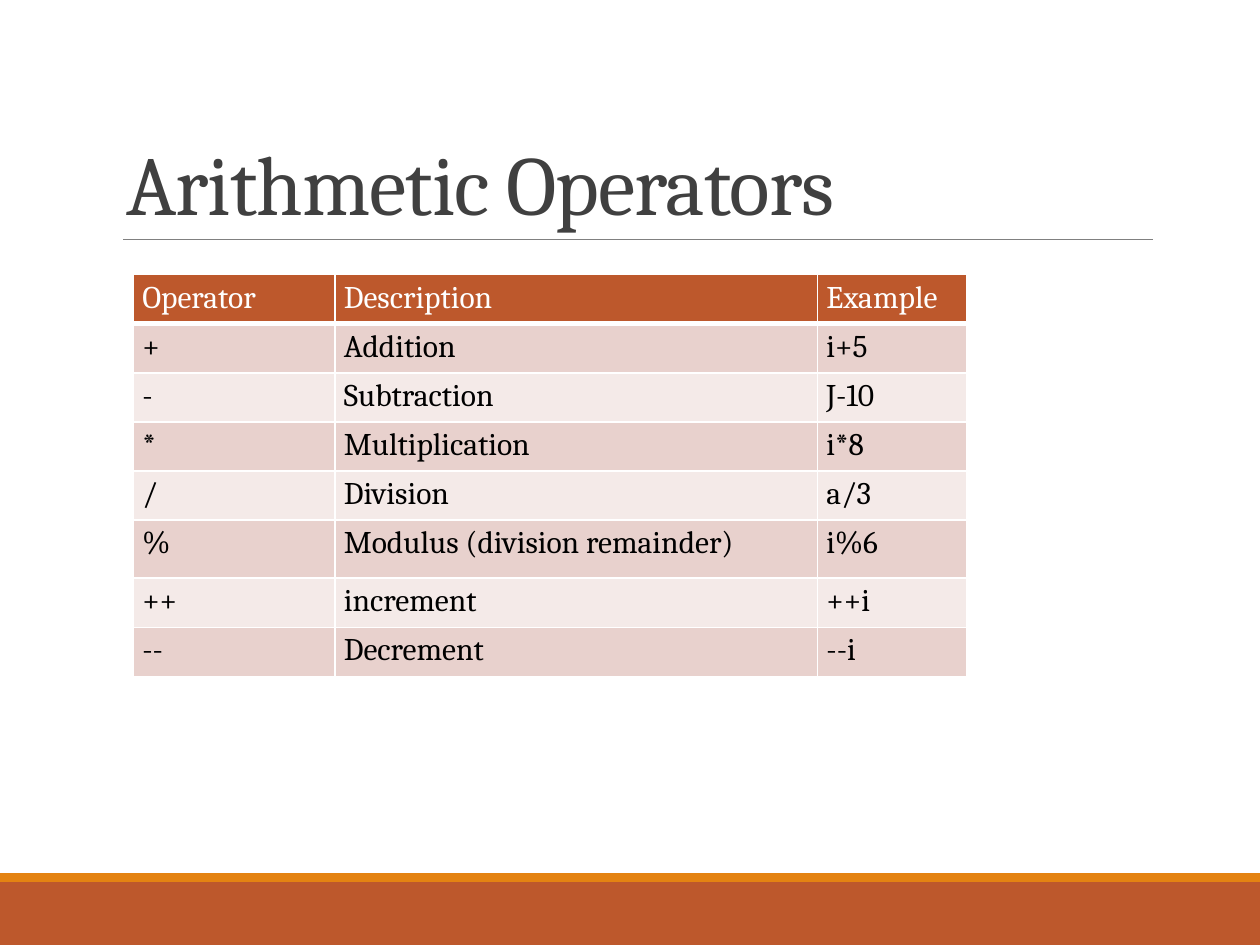
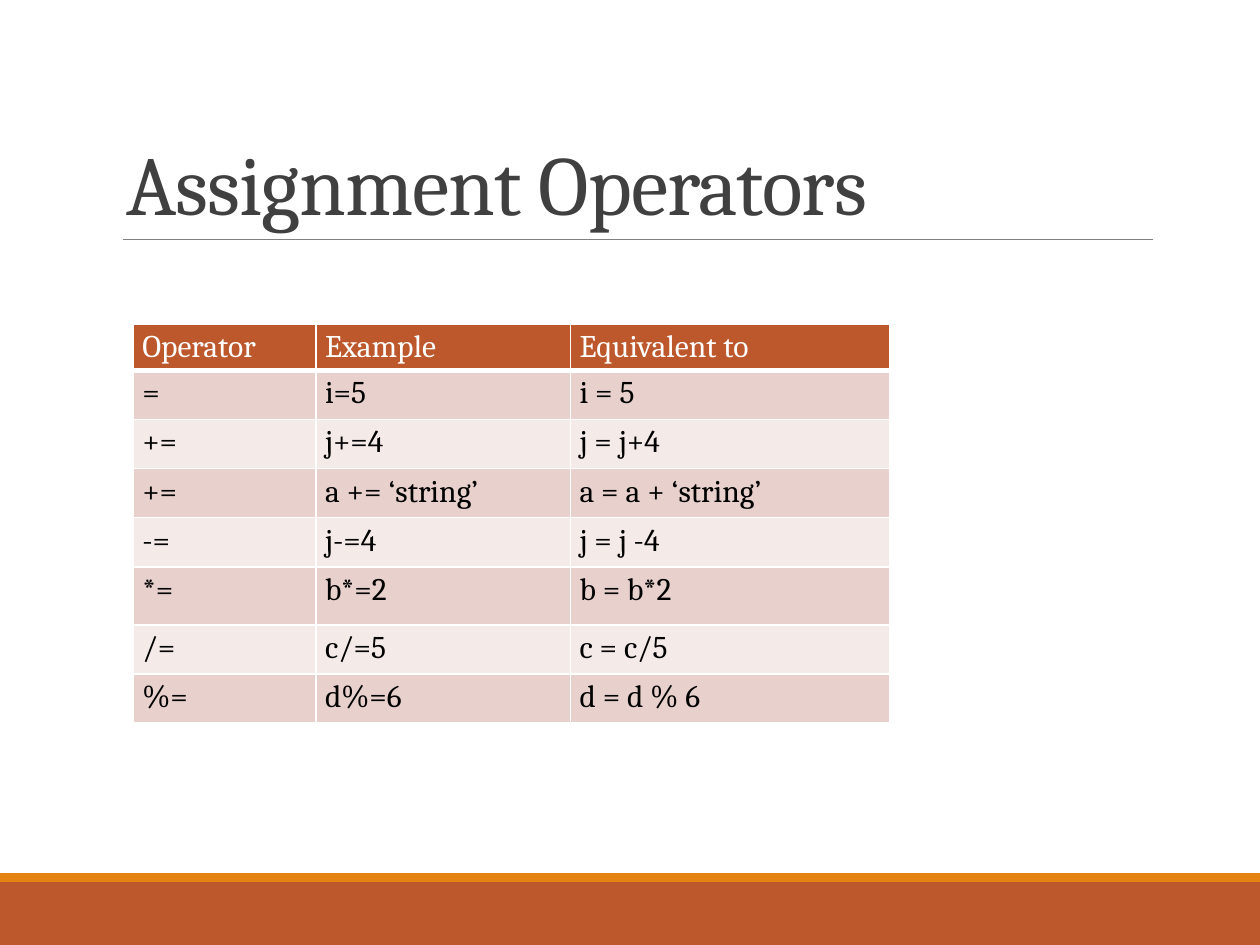
from lxml.etree import SubElement as Sub
from pptx import Presentation
from pptx.dml.color import RGBColor as Rgb
from pptx.enum.shapes import MSO_CONNECTOR as Link, MSO_SHAPE as Shape
from pptx.enum.text import MSO_ANCHOR as Anchor, MSO_AUTO_SIZE as Fit, PP_ALIGN as Align
from pptx.oxml.ns import qn
from pptx.util import Inches, Pt

COLORS = {
    "rust": "BD582C", "amber": "E48312", "rule": "808080", "title": "404040",
    "white": "FFFFFF", "black": "000000", "dark": "E8D1CD", "light": "F4EAE8",
}
FONT = "Cambria"
WIDTH, HEIGHT = 10, 7.5
TITLE_BOX = (0.9, 0.31, 8.25, 1.59)
FOOT_BOX = (0, 6.93, WIDTH, 0.57)
ROW, TALL = 0.39, 0.46

MATH = [
    ("Operator", "Description", "Example"),
    ("+", "Addition", "i+5"),
    ("-", "Subtraction", "J-10"),
    ("*", "Multiplication", "i*8"),
    ("/", "Division", "a/3"),
    ("%", "Modulus (division remainder)", "i%6"),
    ("++", "increment", "++i"),
    ("--", "Decrement", "--i"),
]
ASSIGN = [
    ("Operator", "Example", "Equivalent to"),
    ("=", "i=5", "i = 5"),
    ("+=", "j+=4", "j = j+4"),
    ("+=", "a += ‘string’", "a = a + ‘string’"),
    ("-=", "j-=4", "j = j -4"),
    ("*=", "b*=2", "b = b*2"),
    ("/=", "c/=5", "c = c/5"),
    ("%=", "d%=6", "d = d % 6"),
]


def color(name):
    """Return the named colour."""
    return Rgb.from_string(COLORS[name])


def write(frame, text, size=18, ink="black", lead=None, track=None):
    """Put one formatted line of text in a frame."""
    para = frame.paragraphs[0]
    para.alignment = Align.LEFT
    para.line_spacing = lead
    run = para.add_run()
    run.text = text
    font = run.font
    font.name, font.size, font.bold = FONT, Pt(size), False
    font.color.rgb = color(ink)
    if track is not None:
        run._r.get_or_add_rPr().set("spc", str(round(track * 100)))


def add_band(slide, box, fill):
    """Draw a plain filled bar."""
    band = slide.shapes.add_shape(Shape.RECTANGLE, *map(Inches, box))
    band.shadow.inherit = False
    band.fill.solid()
    band.fill.fore_color.rgb = color(fill)
    band.line.fill.background()


def add_foot(slide, box, strip=0.07):
    """Draw the footer bar with a thin strip on top."""
    left, top, width, height = box
    add_band(slide, (left, top + strip, width, height - strip), "rust")
    add_band(slide, (left, top, width, strip), "amber")


def add_title(slide, box, text):
    """Set the title and the rule along its lower edge."""
    left, top, width, height = box
    title = slide.shapes.title
    title.left, title.top, title.width, title.height = map(Inches, box)
    frame = title.text_frame
    frame.auto_size, frame.word_wrap = Fit.NONE, True
    frame.vertical_anchor = Anchor.BOTTOM
    write(frame, text, size=48, ink="title", lead=0.85, track=-0.5)
    ends = (left + 0.08, top + height, left + width, top + height)
    rule = slide.shapes.add_connector(Link.STRAIGHT, *map(Inches, ends))
    rule.line.color.rgb = color("rule")
    rule.line.width = Pt(0.5)
    Sub(rule._element.spPr, qn("a:effectLst"))


def add_edges(cell, low):
    """Give a cell white borders, with its own lower width."""
    props = cell._tc.get_or_add_tcPr()
    for side, width in {"L": 1, "R": 1, "T": 1, "B": low}.items():
        edge = Sub(props, qn(f"a:ln{side}"), w=str(Pt(width)))
        fill = Sub(edge, qn("a:solidFill"))
        Sub(fill, qn("a:srgbClr"), val=COLORS["white"])


def fill_cell(cell, text, row):
    """Format one cell by the row it stands in."""
    cell.margin_left = cell.margin_right = Inches(0.07)
    cell.margin_top = cell.margin_bottom = Inches(0.04)
    head = row == 0
    add_edges(cell, 3 if head else 1)
    cell.fill.solid()
    cell.fill.fore_color.rgb = color("rust" if head else "dark" if row % 2 else "light")
    write(cell.text_frame, text, ink="white" if head else "black")


def add_grid(slide, spot, cols, rows, data):
    """Draw a banded table at a spot."""
    box = (*spot, sum(cols), sum(rows))
    table = slide.shapes.add_table(len(rows), len(cols), *map(Inches, box)).table
    for col, width in zip(table.columns, cols):
        col.width = Inches(width)
    for row, height in zip(table.rows, rows):
        row.height = Inches(height)
    for r, line in enumerate(data):
        for c, text in enumerate(line):
            fill_cell(table.cell(r, c), text, r)


def add_page(deck, title, top, cols, data, head=ROW):
    """Build a slide with a title, a table and the footer."""
    slide = deck.slides.add_slide(deck.slide_layouts[5])
    add_foot(slide, FOOT_BOX)
    add_title(slide, TITLE_BOX, title)
    rows = [head, *[ROW] * 4, TALL, *[ROW] * 2]
    add_grid(slide, (1.06, top), cols, rows, data)


def main():
    """Build and save the deck."""
    deck = Presentation()
    deck.slide_width, deck.slide_height = Inches(WIDTH), Inches(HEIGHT)
    add_page(deck, "Arithmetic Operators", 2.18, (1.6, 3.83, 1.18), MATH)
    add_page(deck, "Assignment Operators", 2.57, (1.45, 2.02, 2.53), ASSIGN, head=0.37)
    deck.save("out.pptx")


if __name__ == "__main__":
    main()
